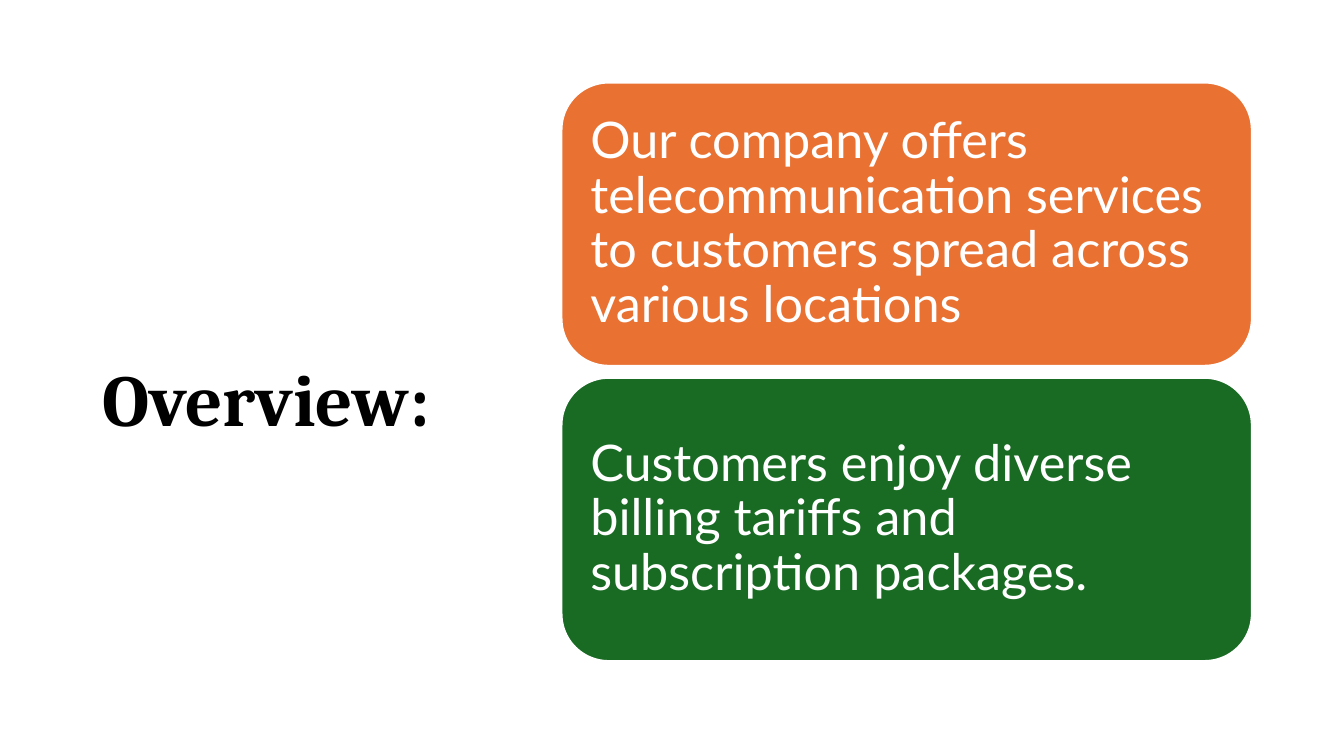
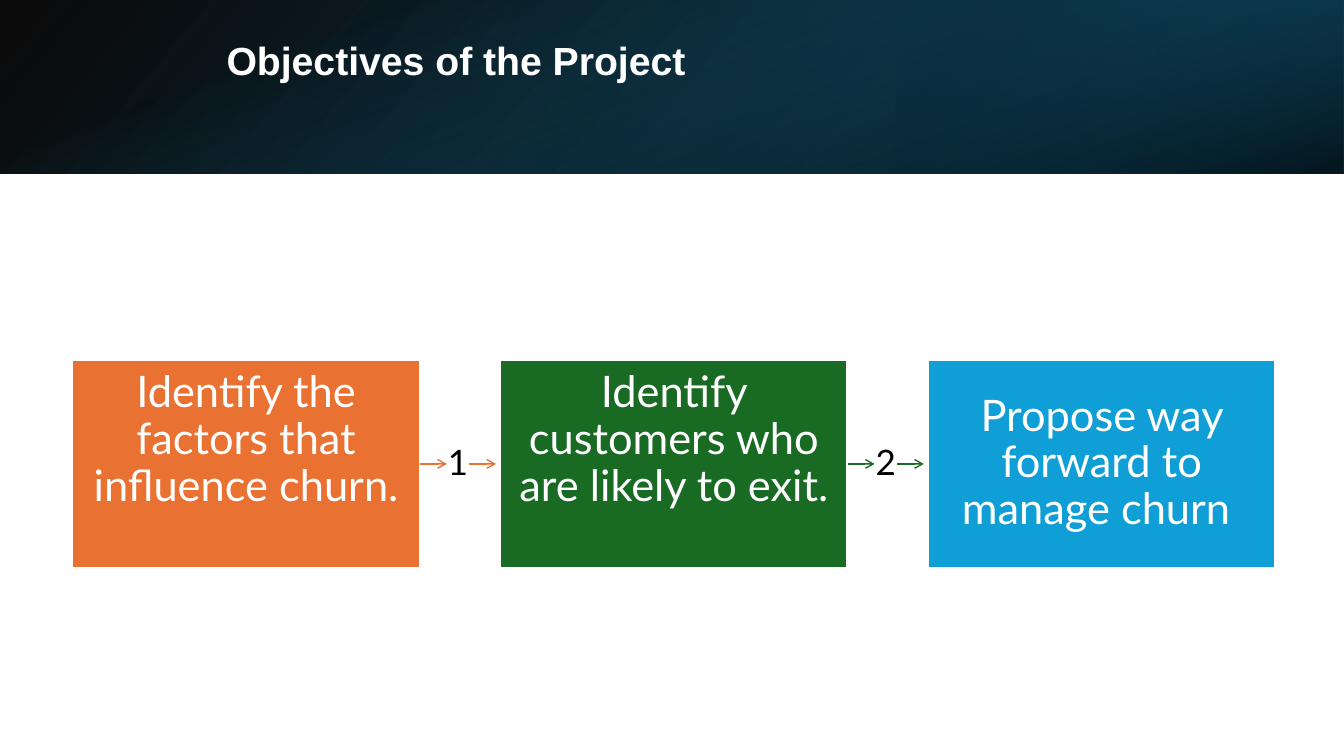
import lxml.etree
import pptx
import pptx.dml.color
import pptx.enum.shapes
import pptx.enum.text
import pptx.oxml.ns
import pptx.util

Cm = pptx.util.Cm
RGBColor = pptx.dml.color.RGBColor
Shapes = pptx.enum.shapes.MSO_SHAPE
Align = pptx.enum.text.PP_ALIGN
qn = pptx.oxml.ns.qn

SLIDE_WIDTH, SLIDE_HEIGHT = Cm(33.87), Cm(19.05)
WHITE = RGBColor(0xFF, 0xFF, 0xFF)
BLACK = RGBColor(0x00, 0x00, 0x00)
ORANGE = RGBColor(0xE9, 0x71, 0x32)
GREEN = RGBColor(0x19, 0x6B, 0x24)
BLUE = RGBColor(0x0F, 0x9E, 0xD5)
TEAL = RGBColor(0x15, 0x60, 0x82)
DEEP_TEAL = RGBColor(0x10, 0x48, 0x62)
NAVY = RGBColor(0x0B, 0x30, 0x41)
BODY_FONT = "Lato"


def write_text(shape, text, *, size, font=BODY_FONT, color=WHITE, bold=False,
               align=Align.LEFT, margins=(0.25, 0.13, 0.25, 0.13)):
    frame = shape.text_frame
    frame.word_wrap = True
    frame.vertical_anchor = pptx.enum.text.MSO_ANCHOR.MIDDLE
    frame.margin_left, frame.margin_top, frame.margin_right, frame.margin_bottom = map(Cm, margins)
    paragraph = frame.paragraphs[0]
    paragraph.alignment = align
    paragraph.line_spacing = 0.9
    run = paragraph.add_run()
    run.text = text
    run.font.size = pptx.util.Pt(size)
    run.font.name = font
    run.font.bold = bold
    run.font.color.rgb = color


def add_text(slide, text, left, top, width, height, **text_format):
    box = slide.shapes.add_textbox(left, top, width, height)
    write_text(box, text, **text_format)
    return box


def add_card(slide, preset, color, text, left, top, width, height, **text_format):
    card = slide.shapes.add_shape(preset, left, top, width, height)
    card.shadow.inherit = False
    card.fill.solid()
    card.fill.fore_color.rgb = color
    card.line.color.rgb = WHITE
    card.line.width = pptx.util.Pt(1.5)
    write_text(card, text, **text_format)
    return card


def add_gradient(slide, left, top, width, height, stops, angle, rotation=0, flip=False):
    shape = slide.shapes.add_shape(Shapes.RECTANGLE, left, top, width, height)
    shape.shadow.inherit = False
    shape.line.fill.background()
    shape.rotation = rotation
    if flip:
        shape._element.spPr.xfrm.set("flipH", "1")
    shape.fill.gradient()
    shape.fill.gradient_angle = 360 - angle
    for stop, (position, color, _) in zip(shape.fill.gradient_stops, stops):
        stop.position = position
        stop.color.rgb = color
    colors = shape._element.spPr.iter(qn("a:srgbClr"))
    for color_element, (_, _, opacity) in zip(colors, stops):
        alpha = lxml.etree.SubElement(color_element, qn("a:alpha"))
        alpha.set("val", str(opacity * 1000))


def add_band(slide, width, height):
    add_gradient(slide, 0, 0, width, height,
                 [(0, BLACK, 96), (1, DEEP_TEAL, 100)], 140, flip=True)
    third = width // 3
    add_gradient(slide, width - third, 0, third, height,
                 [(0.19, NAVY, 68), (1, TEAL, 79)], 320, rotation=180, flip=True)
    offset = (width - height) // 2
    add_gradient(slide, offset, -offset, height, width,
                 [(0.23, TEAL, 0), (0.99, BLACK, 74)], 340, rotation=90)


def add_arrow(slide, color, start, end, start_shape=None, end_shape=None):
    arrow = slide.shapes.add_connector(pptx.enum.shapes.MSO_CONNECTOR.STRAIGHT, *start, *end)
    if start_shape is not None:
        arrow.begin_connect(start_shape, 3)
    if end_shape is not None:
        arrow.end_connect(end_shape, 1)
    arrow.line.color.rgb = color
    arrow.line.width = pptx.util.Pt(1)
    head = lxml.etree.SubElement(arrow.line._get_or_add_ln(), qn("a:tailEnd"))
    head.set("type", "arrow")
    lxml.etree.SubElement(arrow._element.spPr, qn("a:effectLst"))


def add_numbered_link(slide, number, color, box, gap):
    left = box.left + box.width
    middle = box.top + box.height // 2
    label_width, label_height = Cm(0.56), Cm(1)
    label_left = left + (gap - Cm(0.1) - label_width) // 2
    label = add_text(slide, str(number), label_left, middle - label_height // 2,
                     label_width, label_height, size=25, color=BLACK,
                     align=Align.CENTER, margins=(0, 0, 0, 0))
    add_arrow(slide, color, (left, middle), (label_left, middle), box, label)
    add_arrow(slide, color, (label_left + label_width, middle),
              (left + gap - Cm(0.1), middle), label)


def add_card_stack(slide, cards, left, top, width, height, gap):
    card_height = (height - gap * (len(cards) - 1)) // len(cards)
    for index, (color, text) in enumerate(cards):
        add_card(slide, Shapes.ROUNDED_RECTANGLE, color, text, left,
                 top + index * (card_height + gap), width, card_height,
                 size=36, margins=(0.38, 0.38, 0.38, 0.38))


def add_process(slide, steps, left, top, width, height, gap):
    box_width = (width - gap * (len(steps) - 1)) // len(steps)
    for index, (color, text, bottom_margin) in enumerate(steps):
        box = add_card(slide, Shapes.RECTANGLE, color, text,
                       left + index * (box_width + gap), top, box_width, height,
                       size=31, align=Align.CENTER,
                       margins=(0.43, 0.13, 0.43, bottom_margin))
        if index < len(steps) - 1:
            add_numbered_link(slide, index + 1, color, box, gap)


def build_overview(slide):
    add_text(slide, "Overview:", Cm(2.34), Cm(9.15), Cm(9.37), Cm(2),
             size=52, font="Cambria", color=BLACK, bold=True)
    add_card_stack(slide, [
        (ORANGE, "Our company offers telecommunication services to customers "
                 "spread across various locations"),
        (GREEN, "Customers enjoy diverse billing tariffs and subscription packages."),
    ], Cm(14.15), Cm(2.08), Cm(17.4), Cm(14.58), Cm(0.3))


def build_objectives(slide):
    add_band(slide, SLIDE_WIDTH, Cm(4.37))
    add_text(slide, "Objectives of the Project", Cm(5.46), Cm(0.82), Cm(26), Cm(1.5),
             size=28, font="Arial", bold=True)
    add_process(slide, [
        (ORANGE, "Identify the factors that influence churn.", 1.32),
        (GREEN, "Identify customers who are likely to exit.", 1.32),
        (BLUE, "Propose way forward to manage churn ", 0.13),
    ], Cm(1.82), Cm(9.06), Cm(30.32), Cm(5.26), Cm(2.02))


def main():
    presentation = pptx.Presentation()
    presentation.slide_width, presentation.slide_height = SLIDE_WIDTH, SLIDE_HEIGHT
    for build in (build_overview, build_objectives):
        build(presentation.slides.add_slide(presentation.slide_layouts[6]))
    presentation.save("out.pptx")


if __name__ == "__main__":
    main()
